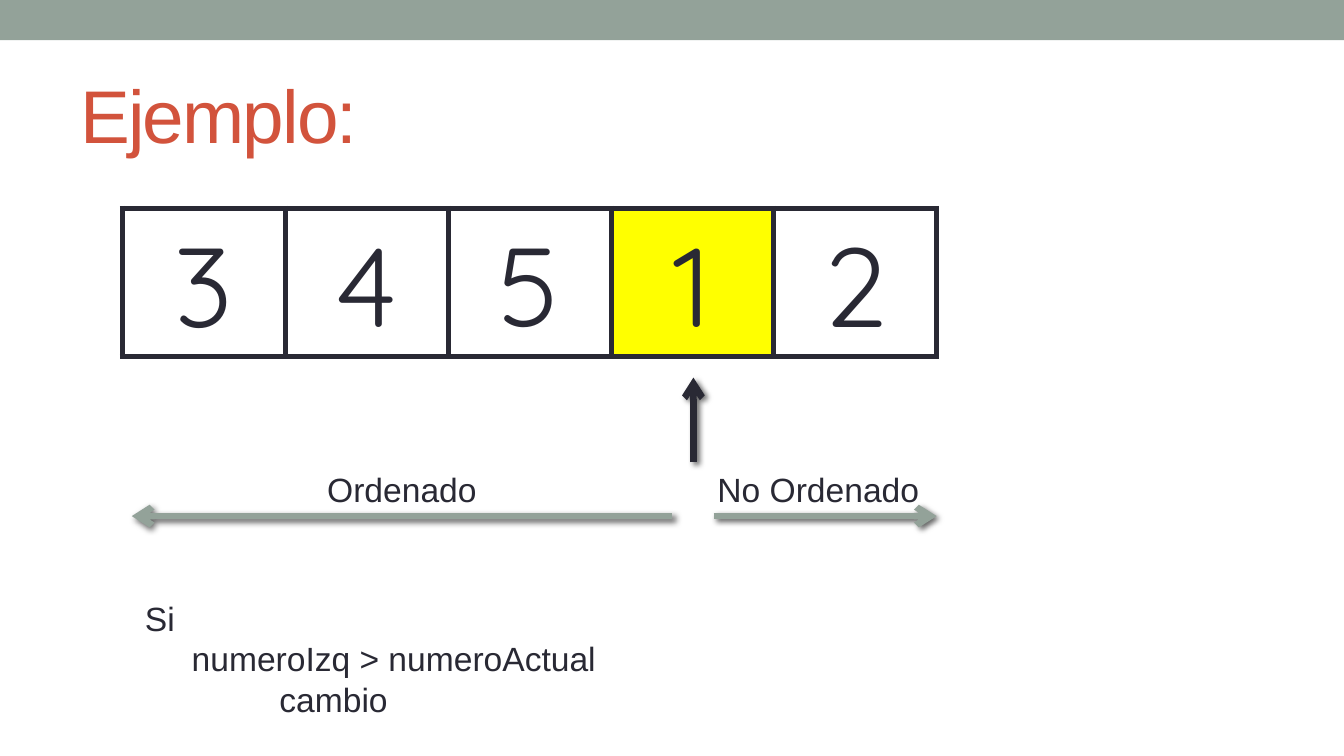
from dataclasses import dataclass
from lxml import etree
from pptx import Presentation
from pptx.dml.color import RGBColor
from pptx.enum.shapes import MSO_CONNECTOR, MSO_SHAPE
from pptx.enum.text import MSO_ANCHOR, PP_ALIGN
from pptx.oxml import parse_xml
from pptx.oxml.ns import qn
from pptx.util import Pt

LEFT, CENTER = PP_ALIGN.LEFT, PP_ALIGN.CENTER
TOP, MIDDLE = MSO_ANCHOR.TOP, MSO_ANCHOR.MIDDLE
RECT, STRAIGHT = MSO_SHAPE.RECTANGLE, MSO_CONNECTOR.STRAIGHT
NS = 'xmlns:a="http://schemas.openxmlformats.org/drawingml/2006/main"'


@dataclass(frozen=True)
class Theme:
    dark: str = "292934"
    sage: str = "93A299"
    red: str = "D2533C"
    white: str = "FFFFFF"
    mark: str = "FFFF00"
    font: str = "Arial"
    digit: str = "Quicksand"
    title: float = 40
    body: float = 18
    huge: float = 60
    stroke: float = 3.5
    border: float = 3


class Deck:
    def __init__(self, theme, width, height):
        self.theme = theme
        self.prs = Presentation()
        self.prs.slide_width, self.prs.slide_height = Pt(width), Pt(height)
        self.slide = self.prs.slides.add_slide(self.prs.slide_layouts[6])

    def style(self, run, size, color, font):
        form = {"size": Pt(size), "name": font, "bold": False}
        for key, value in form.items():
            setattr(run.font, key, value)
        run.font.color.rgb = RGBColor.from_string(color)

    def bar(self, x, y, w, h, color):
        shape = self.slide.shapes.add_shape(RECT, Pt(x), Pt(y), Pt(w), Pt(h))
        shape.shadow.inherit = False
        shape.fill.solid()
        shape.fill.fore_color.rgb = RGBColor.from_string(color)
        shape.line.fill.background()

    def text(self, x, y, w, h, lines, size=None, color=None,
             align=LEFT, anchor=TOP, track=0):
        box = self.slide.shapes.add_textbox(Pt(x), Pt(y), Pt(w), Pt(h))
        frame = box.text_frame
        form = {"word_wrap": True, "vertical_anchor": anchor}
        for key, value in form.items():
            setattr(frame, key, value)
        for i, (words, indent) in enumerate(lines):
            para = frame.add_paragraph() if i else frame.paragraphs[0]
            para.alignment = align
            if indent:
                props = para._p.get_or_add_pPr()
                props.set("marL", str(Pt(indent)))
                props.set("indent", "0")
            run = para.add_run()
            run.text = words
            self.style(run, size or self.theme.body,
                       color or self.theme.dark, self.theme.font)
            if track:
                run._r.get_or_add_rPr().set("spc", str(track * 100))

    def arrow(self, x1, y1, x2, y2, color):
        line = self.slide.shapes.add_connector(
            STRAIGHT, Pt(x1), Pt(y1), Pt(x2), Pt(y2))
        line.line.width = Pt(self.theme.stroke)
        line.line.color.rgb = RGBColor.from_string(color)
        etree.SubElement(line.line._get_or_add_ln(), qn("a:tailEnd"), type="arrow")
        line._element.spPr.append(parse_xml(
            f'<a:effectLst {NS}><a:outerShdw blurRad="{Pt(3)}" dist="{Pt(2)}" '
            'dir="2700000" rotWithShape="0"><a:srgbClr val="000000">'
            '<a:alpha val="60000"/></a:srgbClr></a:outerShdw></a:effectLst>'))

    def row(self, x, y, w, h, values, marked):
        count = len(values)
        table = self.slide.shapes.add_table(
            1, count, Pt(x), Pt(y), Pt(w), Pt(h)).table
        for key in ("first_row", "horz_banding"):
            setattr(table, key, False)
        for i, value in enumerate(values):
            table.columns[i].width = Pt(w / count)
            cell = table.cell(0, i)
            para = cell.text_frame.paragraphs[0]
            para.alignment = CENTER
            run = para.add_run()
            run.text = value
            self.style(run, self.theme.huge, self.theme.dark, self.theme.digit)
            props = cell._tc.get_or_add_tcPr()
            for side in ("lnL", "lnR", "lnT", "lnB"):
                props.append(parse_xml(
                    f'<a:{side} {NS} w="{Pt(self.theme.border)}"><a:solidFill>'
                    f'<a:srgbClr val="{self.theme.dark}"/></a:solidFill></a:{side}>'))
            fill = self.theme.mark if i == marked else self.theme.white
            cell.fill.solid()
            cell.fill.fore_color.rgb = RGBColor.from_string(fill)


look = Theme()
deck = Deck(look, 720, 405)
deck.bar(0, 0, 720, 21.6, look.sage)
deck.text(36, 31.7, 170.6, 58.3, [("Ejemplo:", 0)], look.title, look.red,
          anchor=MIDDLE, track=-1)
deck.row(65.5, 111.6, 436.5, 79.2, "34512", 3)
deck.arrow(371.5, 247.7, 371.5, 202.3, look.dark)
deck.text(70.6, 316.8, 362.9, 72.7,
          [("Si", 0), ("numeroIzq > numeroActual", 25), ("cambio", 72)])
for start, end in ((360, 70.6), (382.3, 501.8)):
    deck.arrow(start, 276.5, end, 276.5, look.sage)
for x, w, label, align in ((70.6, 289.4, "Ordenado", CENTER),
                           (377.3, 141.8, "No Ordenado", LEFT)):
    deck.text(x, 247.7, w, 28.8, [(label, 0)], align=align)
deck.prs.save("out.pptx")
